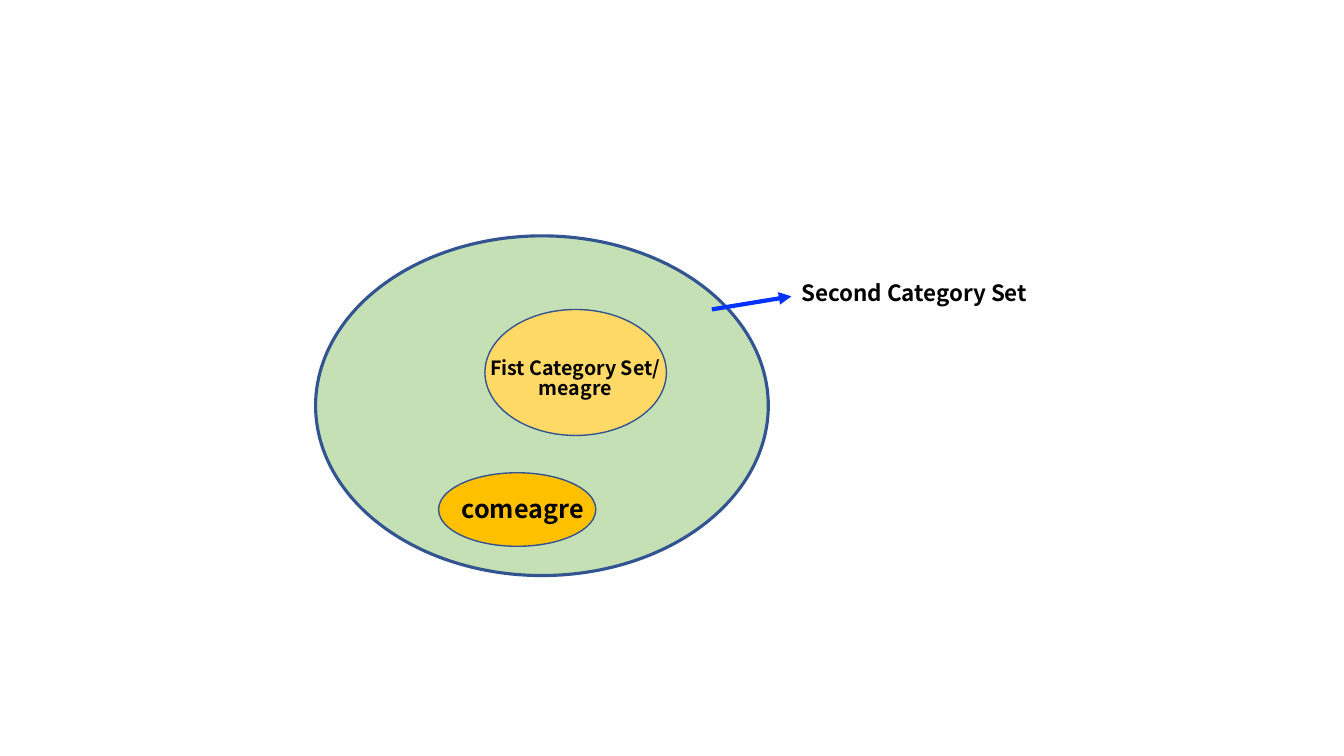
"""Draw nested category sets as ellipses with their labels."""
from pptx import Presentation
from pptx.dml.color import RGBColor
from pptx.enum import shapes, text
from pptx.oxml import parse_xml
from pptx.oxml.ns import nsdecls
from pptx.util import Inches, Pt

GREEN = RGBColor(0xC5, 0xE0, 0xB4)
YELLOW = RGBColor(0xFF, 0xD9, 0x66)
AMBER = RGBColor(0xFF, 0xC0, 0x00)
OUTLINE = RGBColor(0x32, 0x54, 0x91)
BLUE = RGBColor(0x04, 0x32, 0xFF)
BLACK = RGBColor(0, 0, 0)
FONT = "Noto Sans CJK SC"
LINE_SPACING = 0.81

SETS = [
    ((3.13, 2.34, 4.49, 3.37), GREEN, 2.25),
    ((4.81, 3.07, 1.8, 1.25), YELLOW, 1),
    ((4.35, 4.69, 1.56, 0.73), AMBER, 1),
]
LABELS = [
    ((4.71, 3.53, 1.99, 0.57), ["Fist Category Set/", "meagre"], 14, text.PP_ALIGN.CENTER),
    ((7.85, 2.77, 2.49, 0.37), ["Second Category Set"], 16, text.PP_ALIGN.LEFT),
    ((4.48, 4.9, 1.44, 0.4), ["comeagre"], 18, text.PP_ALIGN.LEFT),
]
POINTER = (7.06, 3.07, 7.85, 2.94)


def add_set(page, area, fill, width):
    oval = page.shapes.add_shape(shapes.MSO_SHAPE.OVAL, *map(Inches, area))
    oval.shadow.inherit = False
    oval.fill.solid()
    oval.fill.fore_color.rgb = fill
    oval.line.color.rgb = OUTLINE
    oval.line.width = Pt(width)


def add_label(page, area, lines, size, align):
    frame = page.shapes.add_textbox(*map(Inches, area)).text_frame
    frame.word_wrap = True
    frame.auto_size = text.MSO_AUTO_SIZE.SHAPE_TO_FIT_TEXT
    frame.text = "\n".join(lines)
    for para in frame.paragraphs:
        para.alignment = align
        para.line_spacing = LINE_SPACING
        para.font.name = FONT
        para.font.size = Pt(size)
        para.font.bold = True
        para.font.color.rgb = BLACK


def add_pointer(page, ends):
    arrow = page.shapes.add_connector(shapes.MSO_CONNECTOR.STRAIGHT, *map(Inches, ends))
    arrow.line.color.rgb = BLUE
    arrow.line.width = Pt(3)
    arrow.line._get_or_add_ln().append(parse_xml(f'<a:tailEnd {nsdecls("a")} type="triangle"/>'))
    arrow._element.spPr.append(parse_xml(f'<a:effectLst {nsdecls("a")}/>'))


deck = Presentation()
deck.slide_width, deck.slide_height = Inches(13.33), Inches(7.5)
page = deck.slides.add_slide(deck.slide_layouts[6])
for category in SETS:
    add_set(page, *category)
add_pointer(page, POINTER)
for label in LABELS:
    add_label(page, *label)
deck.save("out.pptx")
